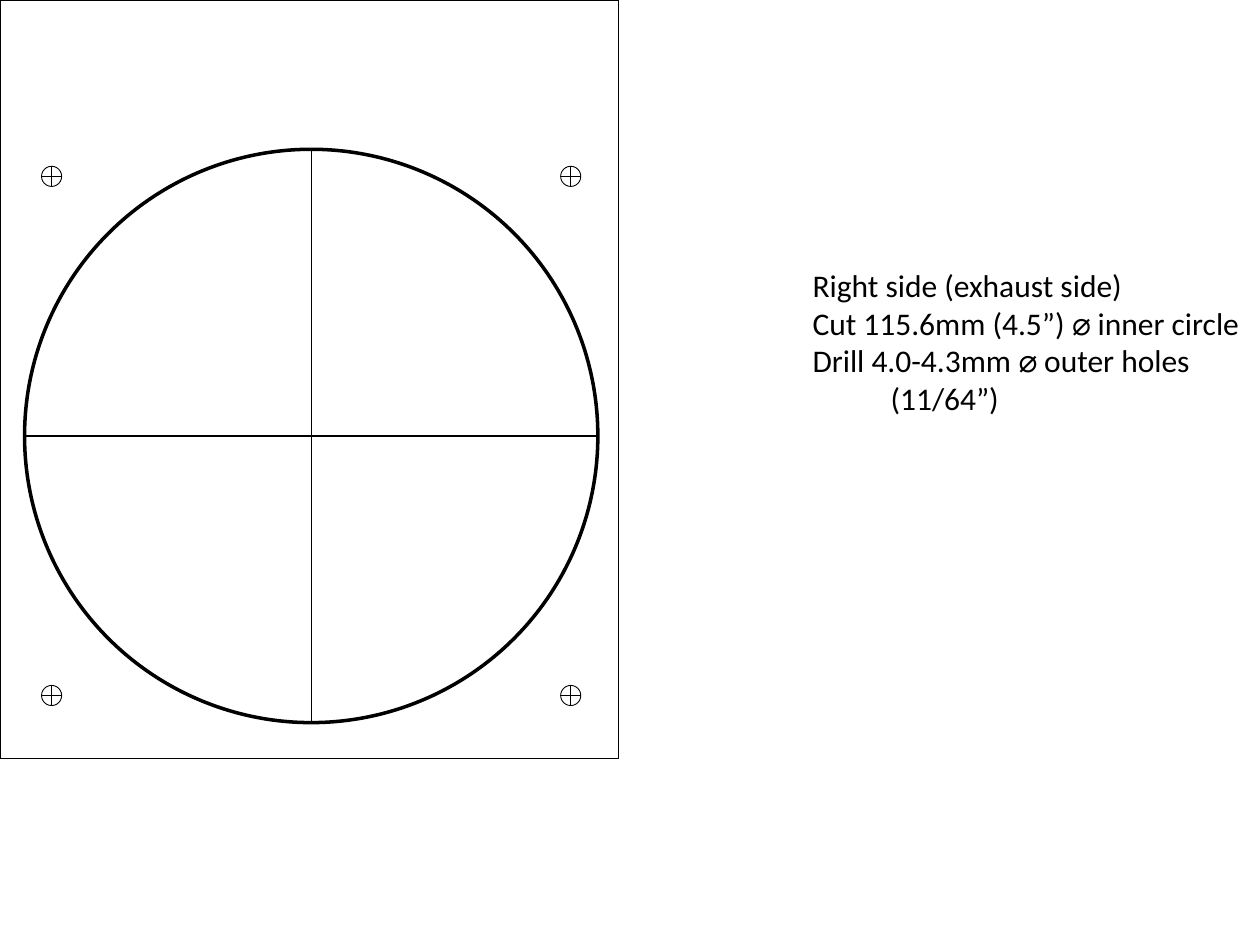
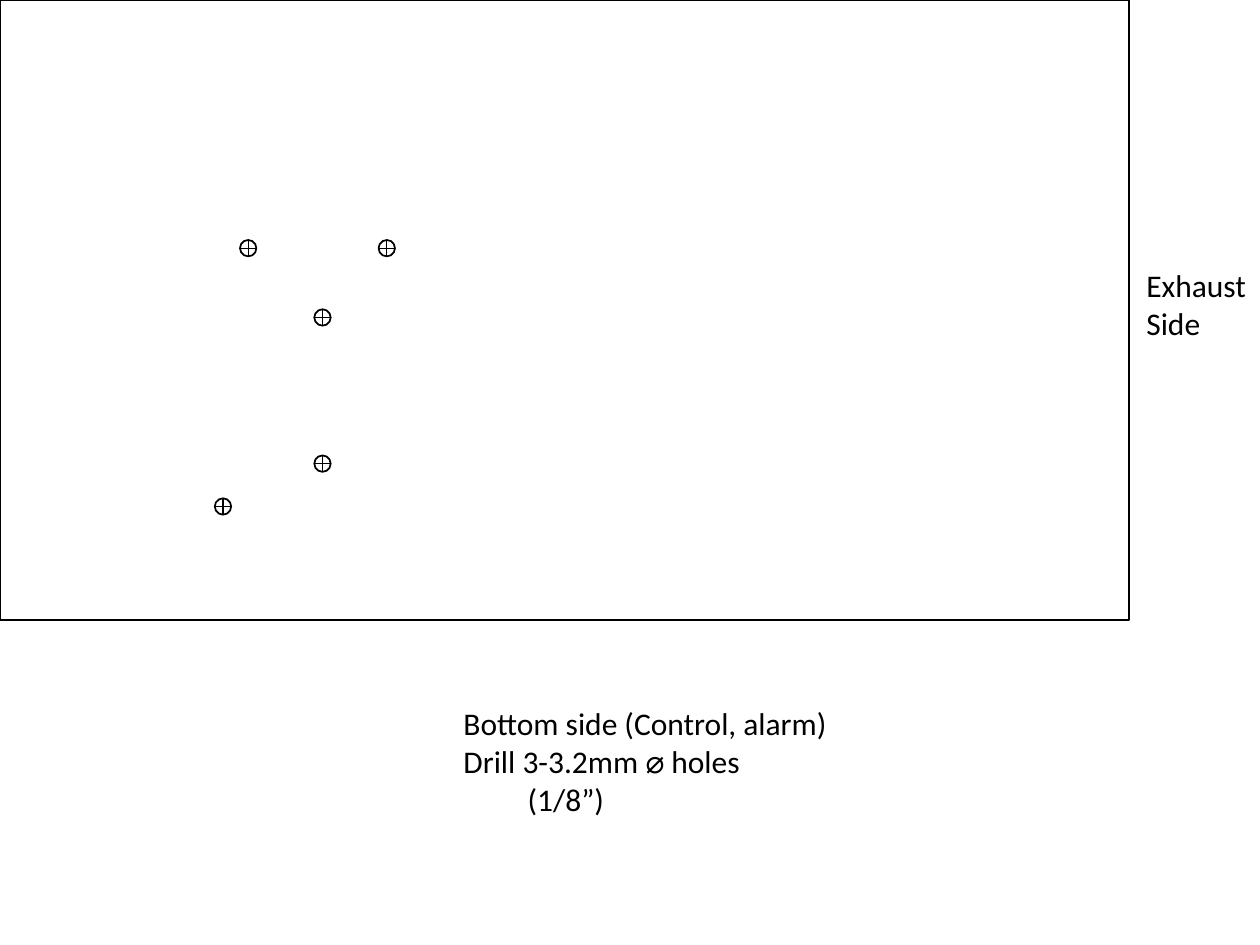
from itertools import product

from lxml import etree
from pptx import Presentation
from pptx.dml.color import RGBColor
from pptx.enum.shapes import MSO_CONNECTOR, MSO_SHAPE
from pptx.enum.text import MSO_AUTO_SIZE
from pptx.oxml.ns import qn
from pptx.util import Inches, Pt

RECT, OVAL = MSO_SHAPE.RECTANGLE, MSO_SHAPE.OVAL
STRAIGHT = MSO_CONNECTOR.STRAIGHT
FIT_SHAPE = MSO_AUTO_SIZE.SHAPE_TO_FIT_TEXT

COLORS = {"ink": "000000"}
INK = RGBColor.from_string(COLORS["ink"])
FONT = "Calibri"


def add_hole(s, x, y, diameter, outline, cross):
    """Draw a circle centred on x, y with a crosshair, as one group."""
    shapes = s.shapes.add_group_shape().shapes
    r = diameter / 2
    sp = shapes.add_shape(OVAL, Inches(x - r), Inches(y - r),
                          Inches(diameter), Inches(diameter))
    sp.shadow.inherit = False
    sp.fill.background()
    sp.line.color.rgb = INK
    sp.line.width = Pt(outline)
    for dx, dy in ((r, 0), (0, r)):
        line = shapes.add_connector(STRAIGHT, Inches(x - dx), Inches(y - dy),
                                    Inches(x + dx), Inches(y + dy))
        line.line.color.rgb = INK
        line.line.width = Pt(cross)
        etree.SubElement(line._element.spPr, qn("a:effectLst"))


def add_note(s, x, y, w, h, lines):
    """Write one paragraph per (text, left indent in inches) pair."""
    tf = s.shapes.add_textbox(Inches(x), Inches(y), Inches(w), Inches(h)).text_frame
    tf.word_wrap = False
    tf.auto_size = FIT_SHAPE
    for i, (text, indent) in enumerate(lines):
        p = tf.paragraphs[0] if i == 0 else tf.add_paragraph()
        if indent:
            p._p.get_or_add_pPr().set("marL", str(Inches(indent)))
        r = p.add_run()
        r.text = text
        r.font.name = FONT
        r.font.size = Pt(18)
        r.font.color.rgb = INK


prs = Presentation()
prs.slide_width, prs.slide_height = Inches(10), Inches(7.5)

# Each panel: width, height, notes (box and lines), holes (x, y, diameter, outline, cross)
FAN_X, FAN_Y, FAN_OFFSET = 2.47, 3.46, 2.06
fan_holes = [(FAN_X, FAN_Y, 4.55, 2, 0.75)]
fan_holes += [(FAN_X + i * FAN_OFFSET, FAN_Y + j * FAN_OFFSET, 0.16, 0.5, 0.5)
              for j, i in product((-1, 1), repeat=2)]
board_holes = [(x, y, 0.13, 1, 0.75) for x, y in (
    (1.77, 4.02), (1.97, 1.97), (3.07, 1.97), (2.56, 3.68), (2.56, 2.52))]

panels = [
    (4.91, 6.02,
     [(6.35, 2.06, 3.61, 1.62, [("Right side (exhaust side)", 0),
                                ("Cut 115.6mm (4.5”) ⌀ inner circle", 0),
                                ("Drill 4.0-4.3mm ⌀ outer holes", 0),
                                ("(11/64”)", 0.62)])],
     fan_holes),
    (8.96, 4.92,
     [(3.58, 5.54, 3.18, 1.31, [("Bottom side (Control, alarm)", 0),
                                ("Drill 3-3.2mm ⌀ holes", 0),
                                ("(1/8”)", 0.51)]),
      (9, 2.06, 1, 0.71, [("Exhaust", 0), ("Side", 0)])],
     board_holes),
]

for width, height, notes, holes in panels:
    s = prs.slides.add_slide(prs.slide_layouts[6])
    sp = s.shapes.add_shape(RECT, 0, 0, Inches(width), Inches(height))
    sp.shadow.inherit = False
    sp.fill.background()
    sp.line.color.rgb = INK
    sp.line.width = Pt(1)
    for hole in holes:
        add_hole(s, *hole)
    for note in notes:
        add_note(s, *note)

prs.save("out.pptx")
